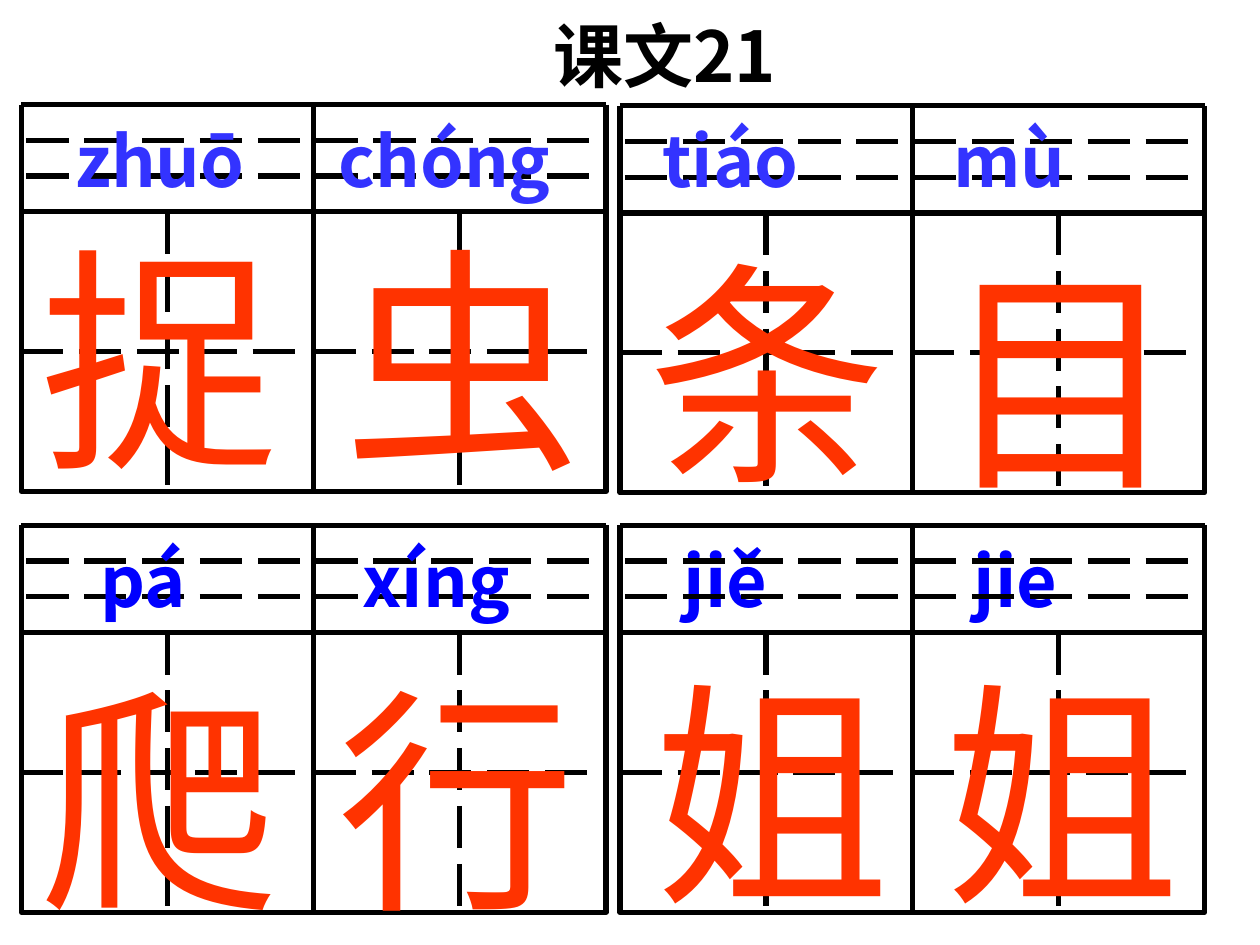
from lxml import etree
from pptx import Presentation
from pptx.dml.color import RGBColor
from pptx.enum.dml import MSO_LINE
from pptx.enum.shapes import MSO_CONNECTOR, MSO_SHAPE
from pptx.enum.text import MSO_ANCHOR, MSO_AUTO_SIZE, PP_ALIGN
from pptx.oxml.ns import qn
from pptx.util import Inches, Pt

BLACK = RGBColor(0, 0, 0)
RED = RGBColor(0xFF, 0x33, 0x00)
VIOLET = RGBColor(0x33, 0x33, 0xFF)
BLUE = RGBColor(0, 0, 0xFF)
DASH = MSO_LINE.LONG_DASH
SOLID = MSO_LINE.SOLID
LINE = MSO_CONNECTOR.STRAIGHT
RECT = MSO_SHAPE.RECTANGLE
TOP = MSO_ANCHOR.TOP
LEFT = PP_ALIGN.LEFT
FIXED = MSO_AUTO_SIZE.NONE
SANS = "Noto Sans CJK SC"

COL = 2.32           # width of one practice square
BAND = 0.85          # height of the pinyin band
CELL = 2.22          # height of one practice square
LEFTS = (0.17, 4.92)  # left edges of the two panels in a row
LEAD = 1.29          # line height in ems


def put(shape, box, text, size=40, color=BLACK, bold=True, font=SANS, tabs=()):
    """Place a text shape and fill it with one formatted line."""
    shape.left, shape.top, shape.width, shape.height = map(Inches, box)
    frame = shape.text_frame
    frame.word_wrap = True
    frame.auto_size = FIXED
    frame.vertical_anchor = TOP
    para = frame.paragraphs[0]
    para.alignment = LEFT
    para.line_spacing = Pt(round(size * LEAD, 1))
    if tabs:
        stops = etree.SubElement(para._p.get_or_add_pPr(), qn("a:tabLst"))
        for pos in tabs:
            etree.SubElement(stops, qn("a:tab"), pos=str(Inches(pos)), algn="l")
    run = para.add_run()
    run.text = text
    run.font.size = Pt(size)
    run.font.bold = bold
    run.font.name = font
    run.font.color.rgb = color
    east = etree.SubElement(run._r.get_or_add_rPr(), qn("a:ea"))
    east.set("typeface", SANS)


def write(slide, box, text, **style):
    put(slide.shapes.add_textbox(0, 0, 0, 0), box, text, **style)


def rule(group, x1, y1, x2, y2, dash=SOLID):
    line = group.shapes.add_connector(LINE, *map(Inches, (x1, y1, x2, y2)))
    line.line.color.rgb = BLACK
    line.line.width = Pt(3)
    line.line.dash_style = dash
    etree.SubElement(line._element.spPr, qn("a:effectLst"))


def panel(slide, x, y):
    """Draw two practice squares below a ruled pinyin band."""
    group = slide.shapes.add_group_shape()
    right, mid, end = x + 2 * COL, y + BAND, y + BAND + CELL
    for left in (x, x + COL):
        cell = group.shapes.add_shape(
            RECT, *map(Inches, (left, mid, COL, CELL)))
        cell.shadow.inherit = False
        cell.fill.background()
        cell.line.color.rgb = BLACK
        cell.line.width = Pt(3)
        rule(group, left + COL / 2, mid, left + COL / 2, end, DASH)
        rule(group, left, mid + CELL / 2, left + COL - 0.04, mid + CELL / 2, DASH)
    rule(group, x, y, right, y)
    for part in (1, 2):
        row = y + part * BAND / 3
        rule(group, x + 0.04, row, right, row, DASH)
    for side in (x, x + COL, right):
        rule(group, side, y, side, end)


def glyphs(slide, items):
    """Write the large characters, each at its own left and top."""
    for text, x, y, font in items:
        write(slide, (x, y, 2.28, 2.37), text, size=136, color=RED,
              bold=False, font=font)


def pinyin(slide, box, words, tabs, color):
    write(slide, box, "\t" + "\t".join(words), color=color, tabs=tabs)


def upper(slide, y):
    panel(slide, LEFTS[0], y)
    panel(slide, LEFTS[1], y + 0.01)
    glyphs(slide, [("虫", 2.63, y + 0.64, SANS), ("捉", 0.22, y + 0.64, SANS),
                   ("条", 5.05, y + 0.75, "Arial"),
                   ("目", 7.38, y + 0.8, "Arial")])
    pinyin(slide, (0, y, 9.96, 0.77), ("zhuō", "chóng", "tiáo", "mù"),
           (0.5, 2.59, 5.16, 7.47), VIOLET)


def lower(slide, y):
    panel(slide, LEFTS[0], y)
    pinyin(slide, (-0.17, y, 9.58, 0.77), ("pá", "xíng", "jiě", "jie"),
           (0.87, 2.95, 5.5, 7.8), BLUE)
    glyphs(slide, [("行", 2.58, y + 0.8, "Arial"),
                   ("爬", 0.22, y + 0.8, "Arial")])
    panel(slide, LEFTS[1], y)
    glyphs(slide, [("姐", x, y + 0.75, "Arial") for x in (5.08, 7.38)])


def main():
    deck = Presentation()
    deck.slide_width, deck.slide_height = Inches(10), Inches(7.5)
    slide = deck.slides.add_slide(deck.slide_layouts[5])
    put(slide.shapes.title, (4.29, 0, 2.52, 0.77), "课文21")
    upper(slide, 0.83)
    lower(slide, 4.17)
    deck.save("out.pptx")


if __name__ == "__main__":
    main()
